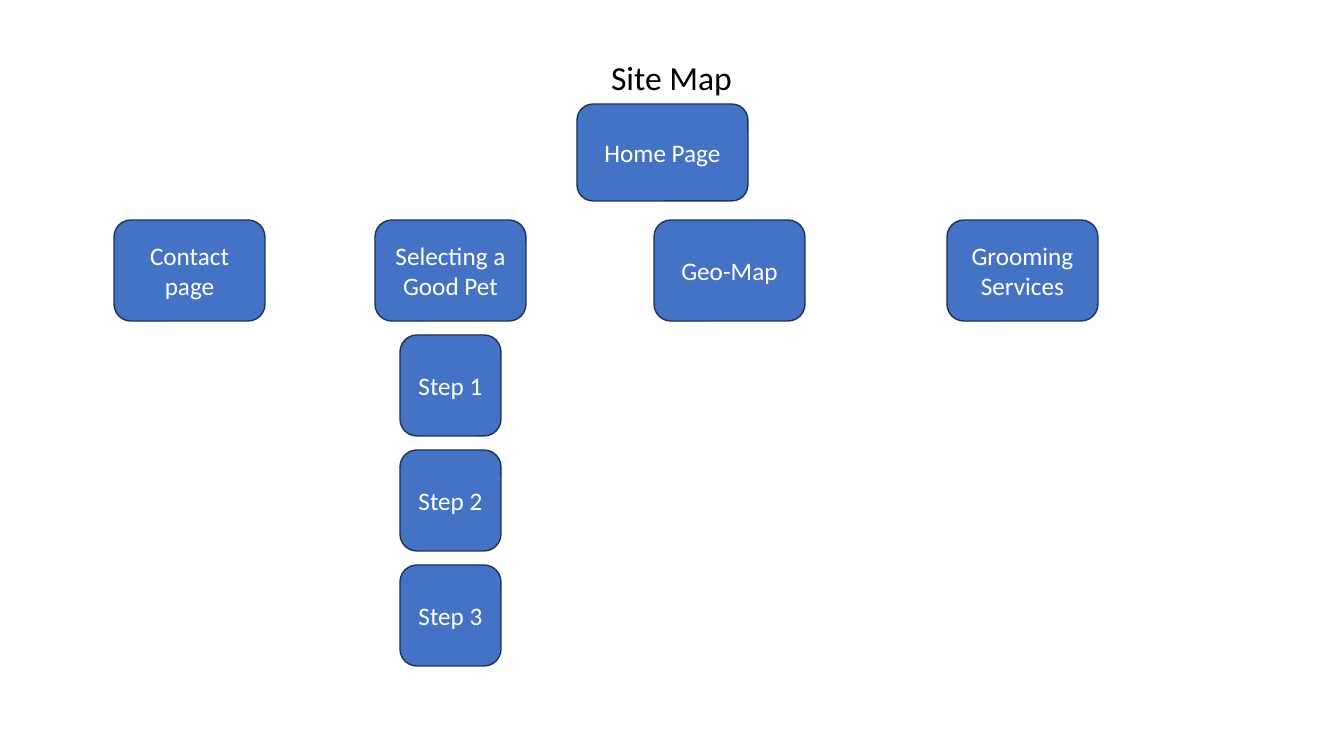
from pptx import Presentation
from pptx.dml.color import RGBColor
from pptx.enum.shapes import MSO_SHAPE
from pptx.enum.text import MSO_ANCHOR, MSO_AUTO_SIZE, PP_ALIGN
from pptx.util import Pt

EMU_PER_PIXEL = 914400 / 100.8
TITLE_FORMAT = {"name": "Calibri", "size": Pt(24), "bold": False}
LABEL_FORMAT = {"name": "Calibri", "size": Pt(18), "bold": False}
SECTIONS = [
    ("Contact page", 114),
    ("Selecting a Good Pet", 375),
    ("Geo-Map", 654),
    ("Grooming Services", 947),
]
SECTION_TOP = 220
SECTION_WIDTH = 151
BOX_HEIGHT = 101
STEP_LEFT = 400
STEP_TOP = 335
STEP_PITCH = 115


def px(length):
    return round(length * EMU_PER_PIXEL)


def color(value):
    return RGBColor.from_string(value)


def write_text(shape, text, text_format, text_color, anchor):
    frame = shape.text_frame
    frame.word_wrap = True
    frame.auto_size = MSO_AUTO_SIZE.NONE
    frame.vertical_anchor = anchor
    para = frame.paragraphs[0]
    para.alignment = PP_ALIGN.CENTER
    span = para.add_run()
    span.text = text
    for attribute, value in text_format.items():
        setattr(span.font, attribute, value)
    span.font.color.rgb = color(text_color)
    return para


def set_title(page, text, left, top, width, height):
    title = page.shapes.title
    bounds = {"left": left, "top": top, "width": width, "height": height}
    for attribute, value in bounds.items():
        setattr(title, attribute, px(value))
    para = write_text(title, text, TITLE_FORMAT, "000000", MSO_ANCHOR.BOTTOM)
    para.line_spacing = 0.9


def add_page_box(page, text, left, top, width, height):
    box = page.shapes.add_shape(
        MSO_SHAPE.ROUNDED_RECTANGLE, px(left), px(top), px(width), px(height)
    )
    box.shadow.inherit = False
    box.fill.solid()
    box.fill.fore_color.rgb = color("4472C4")
    box.line.color.rgb = color("1E3256")
    box.line.width = Pt(1)
    write_text(box, text, LABEL_FORMAT, "FFFFFF", MSO_ANCHOR.MIDDLE)


def main():
    deck = Presentation()
    deck.slide_width = px(1344)
    deck.slide_height = px(756)
    page = deck.slides.add_slide(deck.slide_layouts[5])
    set_title(page, "Site Map", 170, 52, 1003, 51)
    add_page_box(page, "Home Page", 577, 104, 171, 97)
    for name, left in SECTIONS:
        add_page_box(page, name, left, SECTION_TOP, SECTION_WIDTH, BOX_HEIGHT)
    for index in range(3):
        top = STEP_TOP + index * STEP_PITCH
        add_page_box(page, f"Step {index + 1}", STEP_LEFT, top, BOX_HEIGHT, BOX_HEIGHT)
    deck.save("out.pptx")


main()
